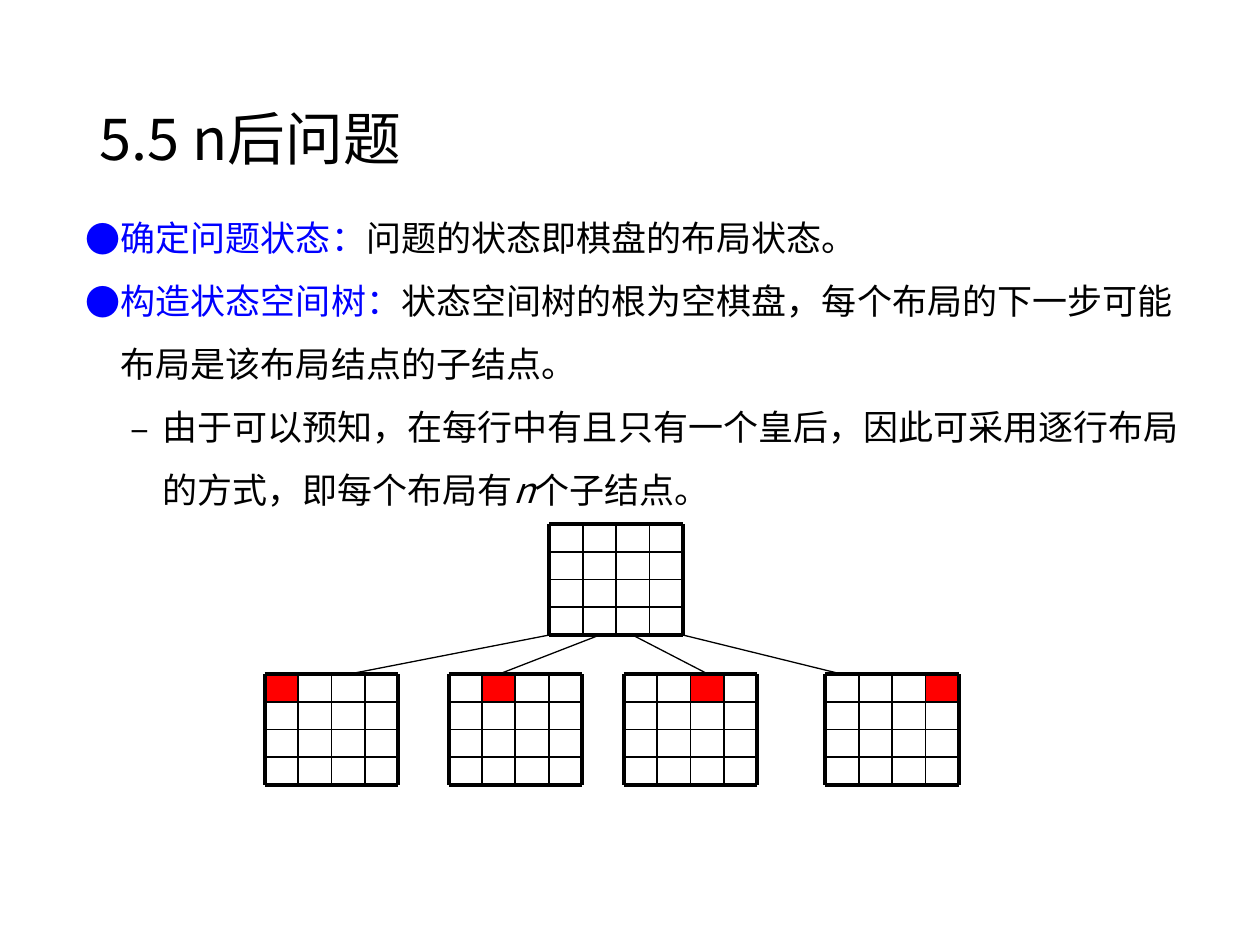
from lxml.etree import SubElement
from pptx import Presentation
from pptx.dml.color import RGBColor
from pptx.enum.shapes import MSO_CONNECTOR, MSO_SHAPE
from pptx.enum.text import MSO_ANCHOR
from pptx.oxml.ns import qn
from pptx.util import Inches, Pt

FONT = "Noto Sans CJK SC"
BLACK, BLUE, RED, WHITE = "000000", "0000FF", "FF0000", "FFFFFF"
BOARD_SIZE = 4
BOARD_WIDTH, BOARD_HEIGHT = 1.06, 0.88
ROOT_LEFT, ROOT_TOP = 4.36, 4.16
CHILD_TOP = 5.35
CHILD_LEFTS = [2.1, 3.56, 4.95, 6.55]
# Each branch: x at the root, x at the child
BRANCHES = [(4.36, 2.77), (4.76, 3.96), (5.02, 5.62), (5.42, 6.68)]

# Each paragraph: bullet, left margin, bullet indent, runs of (text, colour, italic)
POINTS = [
    ("●", 0.28, -0.28, [("确定问题状态：", BLUE, False),
                        ("问题的状态即棋盘的布局状态。", BLACK, False)]),
    ("●", 0.28, -0.28, [("构造状态空间树：", BLUE, False),
                        ("状态空间树的根为空棋盘，每个布局的下一步可能"
                         "布局是该布局结点的子结点。", BLACK, False)]),
    ("–", 0.61, -0.25, [("由于可以预知，在每行中有且只有一个皇后，因此可采用逐行布局"
                         "的方式，即每个布局有", BLACK, False),
                        ("n", BLACK, True),
                        ("个子结点。", BLACK, False)]),
]


def color(hex_string):
    return RGBColor.from_string(hex_string)


def add_span(para, text, size, hex_string, italic=False):
    span = para.add_run()
    span.text = text
    span.font.size = Pt(size)
    span.font.italic = italic
    span.font.color.rgb = color(hex_string)
    span.font.name = FONT
    SubElement(span.font._element, qn("a:ea"), typeface=FONT)


def add_text_box(page, left, top, width, height):
    box = page.shapes.add_textbox(Inches(left), Inches(top), Inches(width), Inches(height))
    box.text_frame.word_wrap = True
    return box.text_frame


def add_title(page, left, top, width, height):
    frame = add_text_box(page, left, top, width, height)
    frame.vertical_anchor = MSO_ANCHOR.MIDDLE
    para = frame.paragraphs[0]
    para.line_spacing = 0.9
    add_span(para, "5.5 n后问题", 33, BLACK)


def set_bullet(para, bullet, margin, indent):
    properties = para._p.get_or_add_pPr()
    properties.set("marL", str(Inches(margin)))
    properties.set("indent", str(Inches(indent)))
    SubElement(properties, qn("a:buFont"), typeface=FONT)
    SubElement(properties, qn("a:buChar"), char=bullet)


def add_points(page, left, top, width, height):
    frame = add_text_box(page, left, top, width, height)
    frame.margin_top = Inches(0.08)
    for index, (bullet, margin, indent, spans) in enumerate(POINTS):
        para = frame.add_paragraph() if index else frame.paragraphs[0]
        para.line_spacing = Pt(36)
        para.level = 1 if bullet == "–" else 0
        set_bullet(para, bullet, margin, indent)
        for text, hex_string, italic in spans:
            add_span(para, text, 20, hex_string, italic)


def add_line(shapes, x1, y1, x2, y2, weight):
    line = shapes.add_connector(MSO_CONNECTOR.STRAIGHT,
                                Inches(x1), Inches(y1), Inches(x2), Inches(y2))
    line.line.color.rgb = color(BLACK)
    line.line.width = Pt(weight)
    SubElement(line._element.spPr, qn("a:effectLst"))


def add_board(page, left, top, queen=None):
    """Draw a grouped chessboard; queen is the red column of the first row."""
    shapes = page.shapes.add_group_shape().shapes
    cell_width, cell_height = BOARD_WIDTH / BOARD_SIZE, BOARD_HEIGHT / BOARD_SIZE
    for row in range(BOARD_SIZE):
        for column in range(BOARD_SIZE):
            cell = shapes.add_shape(
                MSO_SHAPE.RECTANGLE,
                Inches(left + column * cell_width), Inches(top + row * cell_height),
                Inches(cell_width), Inches(cell_height))
            cell.shadow.inherit = False
            cell.fill.solid()
            cell.fill.fore_color.rgb = color(RED if row == 0 and column == queen else WHITE)
            cell.line.fill.background()
    right, bottom = left + BOARD_WIDTH, top + BOARD_HEIGHT
    for step in range(BOARD_SIZE + 1):
        weight = 2.25 if step in (0, BOARD_SIZE) else 1
        x, y = left + step * cell_width, top + step * cell_height
        add_line(shapes, left, y, right, y, weight)
        add_line(shapes, x, top, x, bottom, weight)


def add_state_tree(page):
    add_board(page, ROOT_LEFT, ROOT_TOP)
    for queen, left in enumerate(CHILD_LEFTS):
        add_board(page, left, CHILD_TOP, queen)
    for root_x, child_x in BRANCHES:
        add_line(page.shapes, root_x, ROOT_TOP + BOARD_HEIGHT, child_x, CHILD_TOP, 0.75)


def main():
    deck = Presentation()
    deck.slide_width, deck.slide_height = Inches(10), Inches(7.5)
    page = deck.slides.add_slide(deck.slide_layouts[6])
    add_title(page, 0.69, 0.4, 8.62, 1.45)
    add_points(page, 0.58, 1.47, 8.99, 2.59)
    add_state_tree(page)
    deck.save("out.pptx")


if __name__ == "__main__":
    main()
